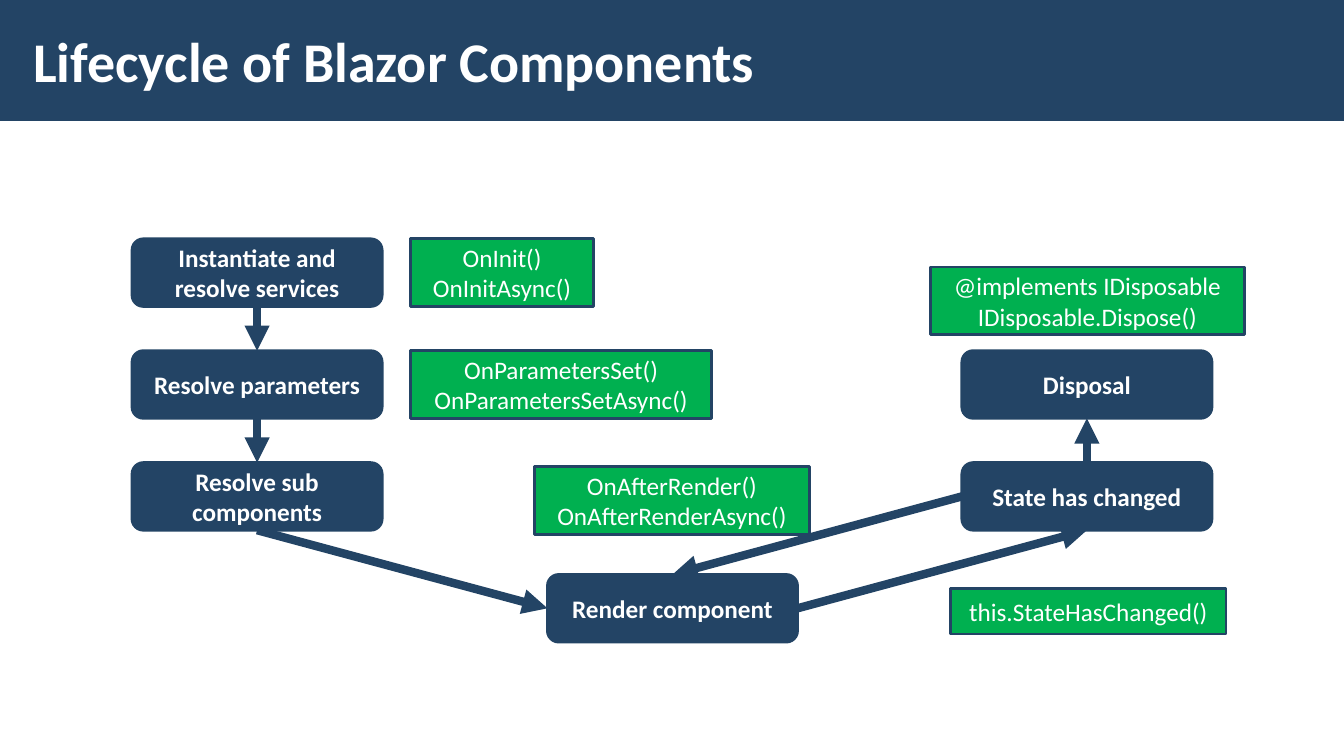
"""Builds a slide that shows the lifecycle of Blazor components."""
import pptx
import pptx.dml.color
import pptx.enum.shapes
import pptx.enum.text
import pptx.oxml
import pptx.oxml.ns
import pptx.util
from pptx.util import Inches

COLORS = {"navy": "234465", "green": "00B050", "white": "FFFFFF"}
FONT = "Calibri"
TITLE = "Lifecycle of Blazor Components"

LEFT_COL, MIDDLE_COL, RIGHT_COL = 1.31, 5.43, 9.54
FIRST_ROW, ROW_PITCH = 2.37, 1.11
STEP_W, STEP_H = 2.48, 0.67

STEPS = {
    "init": ("Instantiate and resolve services", LEFT_COL, 0),
    "params": ("Resolve parameters", LEFT_COL, 1),
    "sub": ("Resolve sub components", LEFT_COL, 2),
    "render": ("Render component", MIDDLE_COL, 3),
    "changed": ("State has changed", RIGHT_COL, 2),
    "disposal": ("Disposal", RIGHT_COL, 1),
}
LABELS = [
    (["OnInit()", "OnInitAsync()"], 4.07, 2.37, 1.82, 0.67),
    (["OnParametersSet()", "OnParametersSetAsync()"], 4.07, 3.48, 2.99, 0.67),
    (["OnAfterRender()", "OnAfterRenderAsync()"], 5.3, 4.63, 2.73, 0.67),
    (["@implements IDisposable", "IDisposable.Dispose()"], 9.23, 2.65, 3.11, 0.67),
    (["this.StateHasChanged()"], 9.43, 5.84, 2.73, 0.45),
]
TOP, LEFT, BOTTOM, RIGHT = range(4)
ARROWS = [
    ("init", BOTTOM, "params", TOP),
    ("params", BOTTOM, "sub", TOP),
    ("sub", BOTTOM, "render", LEFT),
    ("render", RIGHT, "changed", BOTTOM),
    ("changed", TOP, "disposal", BOTTOM),
    ("changed", LEFT, "render", TOP),
]
SHAPE = pptx.enum.shapes.MSO_SHAPE
ALIGN = pptx.enum.text.PP_ALIGN


def rgb(name):
    return pptx.dml.color.RGBColor.from_string(COLORS[name])


def write(tf, lines, size=18, bold=False, align=ALIGN.CENTER):
    tf.word_wrap = True
    tf.auto_size = pptx.enum.text.MSO_AUTO_SIZE.NONE
    tf.vertical_anchor = pptx.enum.text.MSO_ANCHOR.MIDDLE
    for i, line in enumerate(lines):
        p = tf.paragraphs[0] if i == 0 else tf.add_paragraph()
        p.alignment = align
        r = p.add_run()
        r.text = line
        r.font.name = FONT
        r.font.size = pptx.util.Pt(size)
        r.font.bold = bold
        r.font.color.rgb = rgb("white")


def add_box(s, kind, fill, x, y, w, h, outlined=True):
    sp = s.shapes.add_shape(kind, Inches(x), Inches(y), Inches(w), Inches(h))
    sp.shadow.inherit = False
    sp.fill.solid()
    sp.fill.fore_color.rgb = rgb(fill)
    if outlined:
        sp.line.color.rgb = rgb("navy")
        sp.line.width = pptx.util.Pt(2)
    else:
        sp.line.fill.background()
    return sp


def add_arrow(s, start, start_side, end, end_side):
    line = s.shapes.add_connector(pptx.enum.shapes.MSO_CONNECTOR.STRAIGHT, 0, 0, 0, 0)
    line.begin_connect(start, start_side)
    line.end_connect(end, end_side)
    line.line.color.rgb = rgb("navy")
    line.line.width = pptx.util.Pt(6)
    ns = pptx.oxml.ns.nsdecls("a")
    ln = line.line.fill._xPr
    ln.append(pptx.oxml.parse_xml(f'<a:tailEnd {ns} type="triangle"/>'))
    ln.getparent().append(pptx.oxml.parse_xml(f"<a:effectLst {ns}/>"))


def main():
    prs = pptx.Presentation()
    prs.slide_width, prs.slide_height = Inches(13.33), Inches(7.5)
    s = prs.slides.add_slide(prs.slide_layouts[5])

    band = add_box(s, SHAPE.RECTANGLE, "navy", 0, 0, 13.33, 1.2, outlined=False)
    title = s.shapes.title
    title.element.addprevious(band.element)
    title.left, title.top = Inches(0.21), Inches(0.11)
    title.width, title.height = Inches(10.4), Inches(0.97)
    tf = title.text_frame
    tf.margin_left = tf.margin_right = Inches(0.12)
    tf.margin_top = tf.margin_bottom = Inches(0.04)
    write(tf, [TITLE], size=40, bold=True, align=ALIGN.LEFT)

    steps = {}
    for key, (text, x, row) in STEPS.items():
        y = FIRST_ROW + row * ROW_PITCH
        sp = add_box(s, SHAPE.ROUNDED_RECTANGLE, "navy", x, y, STEP_W, STEP_H)
        write(sp.text_frame, [text], bold=True)
        steps[key] = sp

    for lines, x, y, w, h in LABELS:
        sp = add_box(s, SHAPE.RECTANGLE, "green", x, y, w, h)
        write(sp.text_frame, lines)

    for start, start_side, end, end_side in ARROWS:
        add_arrow(s, steps[start], start_side, steps[end], end_side)

    prs.save("out.pptx")


if __name__ == "__main__":
    main()
